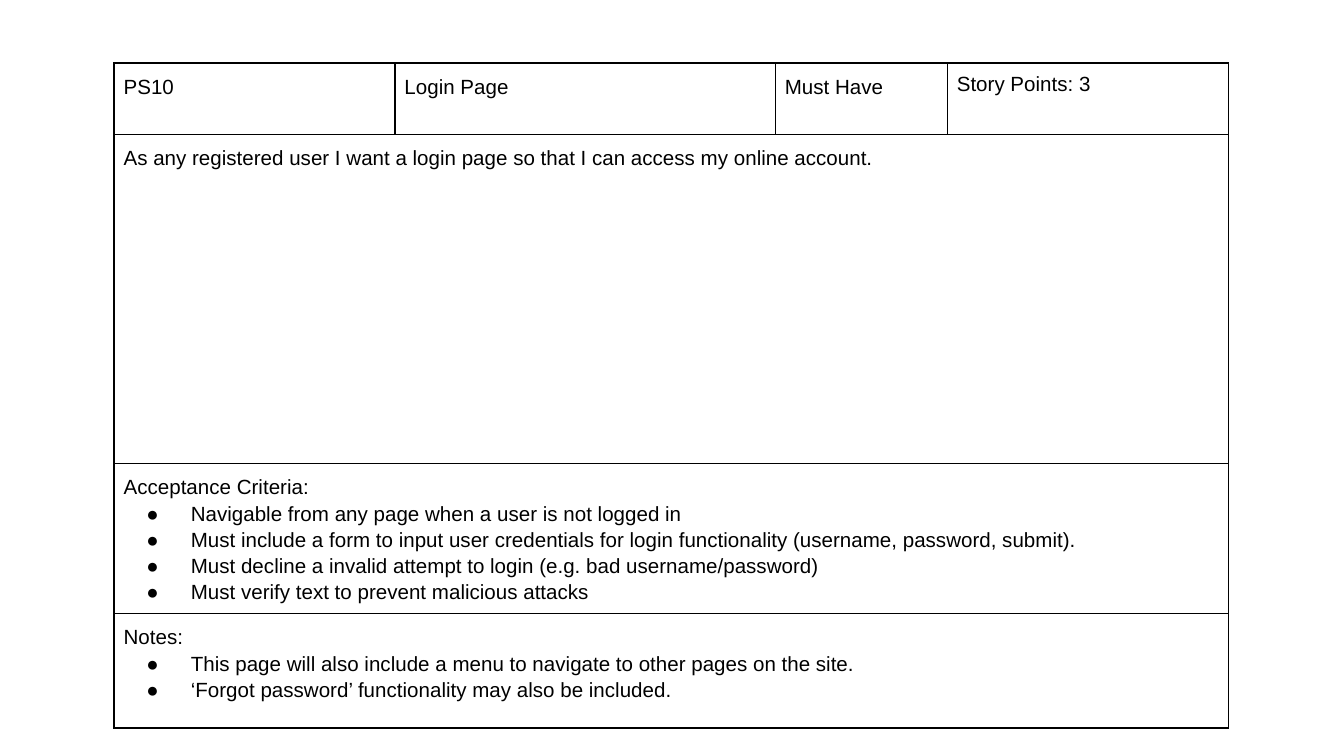
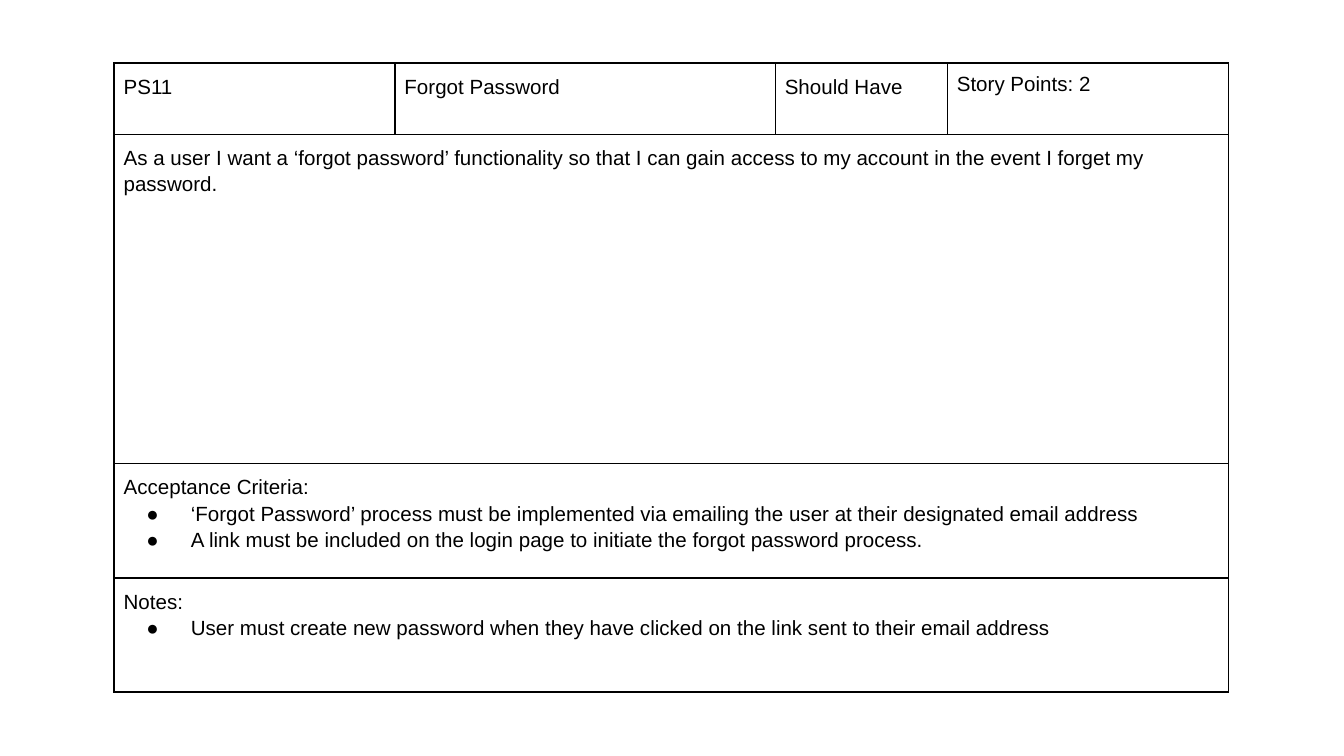
import pptx
import pptx.dml.color
import pptx.oxml
import pptx.oxml.ns
import pptx.util
from pptx.util import Inches

COLORS = {"ink": "000000", "paper": "FFFFFF"}
NAMESPACE = pptx.oxml.ns.nsdecls("a")
COLUMN_WIDTHS = [2.09, 2.83, 1.28, 2.09]
ROW_HEIGHTS = [0.53, 2.45, 0.85, 0.85]
MARGIN = Inches(0.07)

STORIES = [
    {
        "header": ["PS10", "Login Page", "Must Have", "Story Points: 3"],
        "story": "As any registered user I want a login page so that I can access my online account.",
        "criteria": [
            "Navigable from any page when a user is not logged in",
            "Must include a form to input user credentials for login functionality (username, password, submit).",
            "Must decline a invalid attempt to login (e.g. bad username/password)",
            "Must verify text to prevent malicious attacks",
        ],
        "notes": [
            "This page will also include a menu to navigate to other pages on the site.",
            "‘Forgot password’ functionality may also be included.",
        ],
    },
    {
        "header": ["PS11", "Forgot Password", "Should Have", "Story Points: 2"],
        "story": "As a user I want a ‘forgot password’ functionality so that I can gain access to my account in the event I forget my password.",
        "criteria": [
            "‘Forgot Password’ process must be implemented via emailing the user at their designated email address",
            "A link must be included on the login page to initiate the forgot password process.",
        ],
        "notes": [
            "User must create new password when they have clicked on the link sent to their email address",
        ],
    },
]


def style_cell(cell):
    cell.margin_left = cell.margin_right = cell.margin_top = cell.margin_bottom = MARGIN
    properties = cell._tc.get_or_add_tcPr()
    for side in ("lnL", "lnR", "lnT", "lnB"):
        properties.append(pptx.oxml.parse_xml(
            f'<a:{side} {NAMESPACE} w="{pptx.util.Pt(1)}"><a:solidFill>'
            f'<a:srgbClr val="{COLORS["ink"]}"/></a:solidFill></a:{side}>'))
    cell.fill.background()


def write_cell(cell, heading, bullets=(), line_spacing=1.15):
    frame = cell.text_frame
    frame.text = "\n".join([heading, *bullets])
    for index, paragraph in enumerate(frame.paragraphs):
        paragraph.line_spacing = line_spacing
        if index > 0:
            properties = paragraph._p.get_or_add_pPr()
            properties.set("marL", str(Inches(0.5)))
            properties.set("indent", str(Inches(-0.33)))
            for element in (
                f'<a:buClr {NAMESPACE}><a:srgbClr val="{COLORS["ink"]}"/></a:buClr>',
                f'<a:buFont {NAMESPACE} typeface="Arial"/>',
                f'<a:buChar {NAMESPACE} char="●"/>',
            ):
                properties.append(pptx.oxml.parse_xml(element))
        paragraph.font.name = "Arial"
        paragraph.font.size = pptx.util.Pt(11)
        paragraph.font.color.rgb = pptx.dml.color.RGBColor.from_string(COLORS["ink"])


presentation = pptx.Presentation()
presentation.slide_width = Inches(10)
presentation.slide_height = Inches(10 * 9 / 16)
background = presentation.slide_master.background.fill
background.solid()
background.fore_color.rgb = pptx.dml.color.RGBColor.from_string(COLORS["paper"])

for story in STORIES:
    slide = presentation.slides.add_slide(presentation.slide_layouts[6])
    table = slide.shapes.add_table(
        len(ROW_HEIGHTS), len(COLUMN_WIDTHS), Inches(0.85), Inches(0.47),
        Inches(sum(COLUMN_WIDTHS)), Inches(sum(ROW_HEIGHTS))).table
    table.first_row = table.horz_banding = False
    for column, width in zip(table.columns, COLUMN_WIDTHS):
        column.width = Inches(width)
    for row, height in zip(table.rows, ROW_HEIGHTS):
        row.height = Inches(height)
    for cell in table.iter_cells():
        style_cell(cell)
    for row_index in range(1, len(ROW_HEIGHTS)):
        table.cell(row_index, 0).merge(table.cell(row_index, len(COLUMN_WIDTHS) - 1))

    for column_index, text in enumerate(story["header"]):
        is_points = column_index == len(COLUMN_WIDTHS) - 1
        write_cell(table.cell(0, column_index), text, line_spacing=1.0 if is_points else 1.15)
    write_cell(table.cell(1, 0), story["story"])
    write_cell(table.cell(2, 0), "Acceptance Criteria:", story["criteria"])
    write_cell(table.cell(3, 0), "Notes:", story["notes"])

presentation.save("out.pptx")
